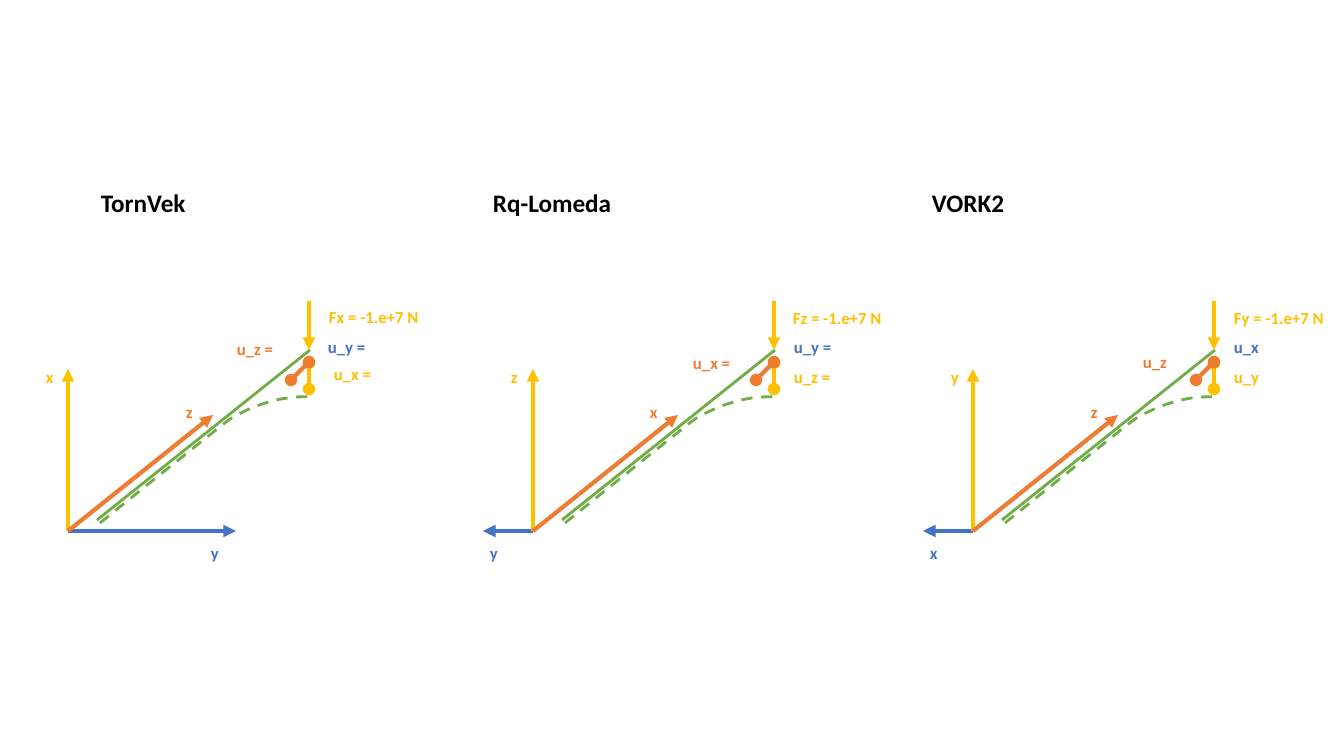
from dataclasses import dataclass

from pptx import Presentation
from pptx.dml.color import RGBColor
from pptx.enum.dml import MSO_LINE_DASH_STYLE as Dash
from pptx.enum.shapes import MSO_CONNECTOR as Connector
from pptx.enum.text import MSO_AUTO_SIZE as AutoSize
from pptx.oxml.xmlchemy import OxmlElement
from pptx.util import Emu, Pt

EMU_PER_PIXEL = 914400 / 100.8
BASELINE = 531  # height at which the three axes meet


@dataclass(frozen=True)
class Theme:
    """Colours, type sizes and line widths of the slide."""
    font: str = "Calibri"
    heading_size: int = 18
    label_size: int = 12
    axis_width: int = 3
    beam_width: int = 2
    ink: str = "000000"
    vertical: str = "FFC000"
    lateral: str = "4472C4"
    along: str = "ED7D31"
    beam: str = "70AD47"


@dataclass(frozen=True)
class Panel:
    """One solver's axes; each label is text, offset from the origin, top."""
    name: str
    origin: int
    name_left: int
    lateral_reach: int
    vertical_labels: tuple
    lateral_labels: tuple
    along_labels: tuple


THEME = Theme()

PANELS = (
    Panel("TornVek", 68, 91, 168,
          (("x", -32, 362), ("Fx = -1.e+7 N", 251, 302), ("u_x =", 256, 359)),
          (("y", 133, 538), ("u_y =", 250, 332)),
          (("z", 108, 397), ("u_z =", 159, 334))),
    Panel("Rq-Lomeda", 533, 483, -50,
          (("z", -32, 362), ("Fz = -1.e+7 N", 250, 303), ("u_z =", 251, 362)),
          (("y", -53, 538), ("u_y =", 251, 332)),
          (("x", 107, 397), ("u_x =", 150, 348))),
    Panel("VORK2", 973, 922, -50,
          (("y", -32, 362), ("Fy = -1.e+7 N", 251, 303), ("u_y", 251, 362)),
          (("x", -53, 538), ("u_x", 251, 332)),
          (("z", 108, 397), ("u_z", 160, 347))),
)

# Start point, then three points for each Bezier segment
DEFLECTED_BEAM = ((32, 523), (73, 490), (130, 444), (162, 419),
                  (196, 399), (224, 396), (241, 397))


def px(length):
    """Turn pixels into EMU."""
    return Emu(round(length * EMU_PER_PIXEL))


def add_text(slide, text, left, top, *, color, size=THEME.label_size,
             width=70, height=30):
    """Add a bold one-line text box."""
    box = slide.shapes.add_textbox(px(left), px(top), px(width), px(height))
    frame = box.text_frame
    frame.word_wrap = True
    frame.auto_size = AutoSize.SHAPE_TO_FIT_TEXT
    span = frame.paragraphs[0].add_run()
    span.text = text
    span.font.name = THEME.font
    span.font.size = Pt(size)
    span.font.bold = True
    span.font.color.rgb = RGBColor.from_string(color)


def style_line(line, color, width):
    """Set the colour and width of a line."""
    line.color.rgb = RGBColor.from_string(color)
    line.width = Pt(width)


def add_line(slide, start, end, *, color, width=THEME.axis_width,
             head=None, tail=None):
    """Add a straight line with optional end marks."""
    points = [px(value) for value in (*start, *end)]
    line = slide.shapes.add_connector(Connector.STRAIGHT, *points)
    style_line(line.line, color, width)
    outline = line.line._get_or_add_ln()
    for tag, mark in (("a:headEnd", head), ("a:tailEnd", tail)):
        if mark:
            end_mark = OxmlElement(tag)
            end_mark.set("type", mark)
            outline.append(end_mark)
    line._element.spPr.append(OxmlElement("a:effectLst"))


def add_dashed_curve(slide, points, *, color, width):
    """Add an open dashed Bezier curve."""
    builder = slide.shapes.build_freeform(*points[0], scale=EMU_PER_PIXEL)
    builder.add_line_segments(points[1:], close=False)
    curve = builder.convert_to_shape()
    steps = curve._element.xpath(".//a:lnTo")
    for first in range(0, len(steps), 3):
        bezier = OxmlElement("a:cubicBezTo")
        steps[first].addprevious(bezier)
        for step in steps[first:first + 3]:
            bezier.append(step[0])
            step.getparent().remove(step)
    curve.shadow.inherit = False
    curve.fill.background()
    style_line(curve.line, color, width)
    curve.line.dash_style = Dash.DASH


def add_panel(slide, panel):
    """Draw one solver's axes, beam, load, displacements and labels."""
    def at(offset, top):
        """Place a point relative to the panel's origin."""
        return panel.origin + offset, top

    add_text(slide, panel.name, panel.name_left, 182, color=THEME.ink,
             size=THEME.heading_size, width=145, height=40)

    origin = at(0, BASELINE)
    for tip, color in ((at(panel.lateral_reach, BASELINE), THEME.lateral),
                       (at(0, 369), THEME.vertical),
                       (at(145, 415), THEME.along)):
        add_line(slide, origin, tip, color=color, tail="triangle")

    add_line(slide, at(29, 520), at(242, 350), color=THEME.beam,
             width=THEME.beam_width)
    add_dashed_curve(slide, [at(*point) for point in DEFLECTED_BEAM],
                     color=THEME.beam, width=THEME.beam_width)

    add_line(slide, at(241, 301), at(241, 350), color=THEME.vertical,
             tail="triangle")
    for start, end, color in (((241, 363), (241, 389), THEME.vertical),
                              ((241, 362), (223, 380), THEME.along)):
        add_line(slide, at(*start), at(*end), color=color,
                 head="oval", tail="oval")

    for labels, color in ((panel.vertical_labels, THEME.vertical),
                          (panel.lateral_labels, THEME.lateral),
                          (panel.along_labels, THEME.along)):
        for text, offset, top in labels:
            width = 116 if len(text) > 5 else 70
            add_text(slide, text, *at(offset, top), color=color, width=width)


def main():
    """Build the deck with its single slide."""
    deck = Presentation()
    deck.slide_width, deck.slide_height = px(1344), px(756)
    page = deck.slides.add_slide(deck.slide_layouts[6])
    for panel in PANELS:
        add_panel(page, panel)
    deck.save("out.pptx")


main()
